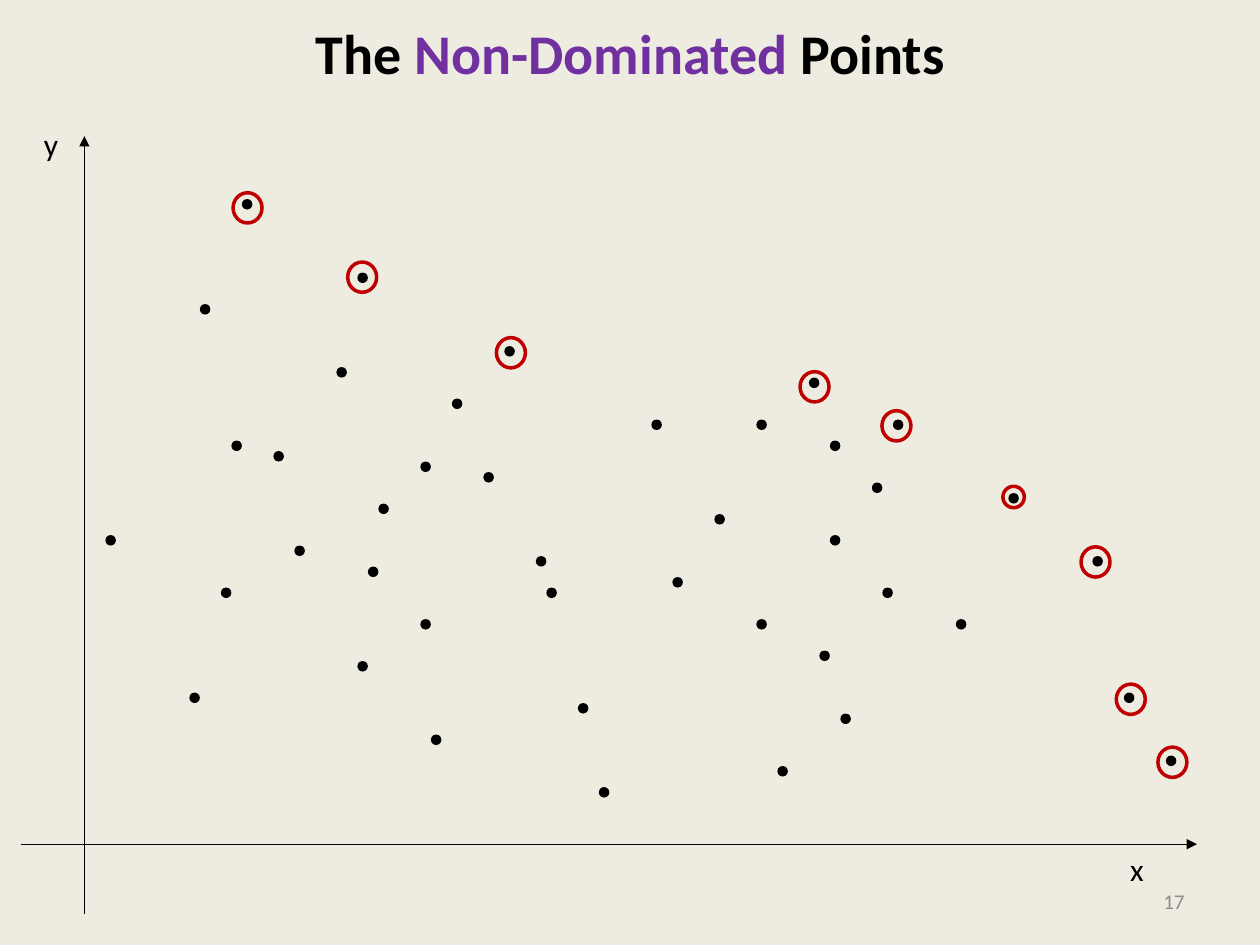
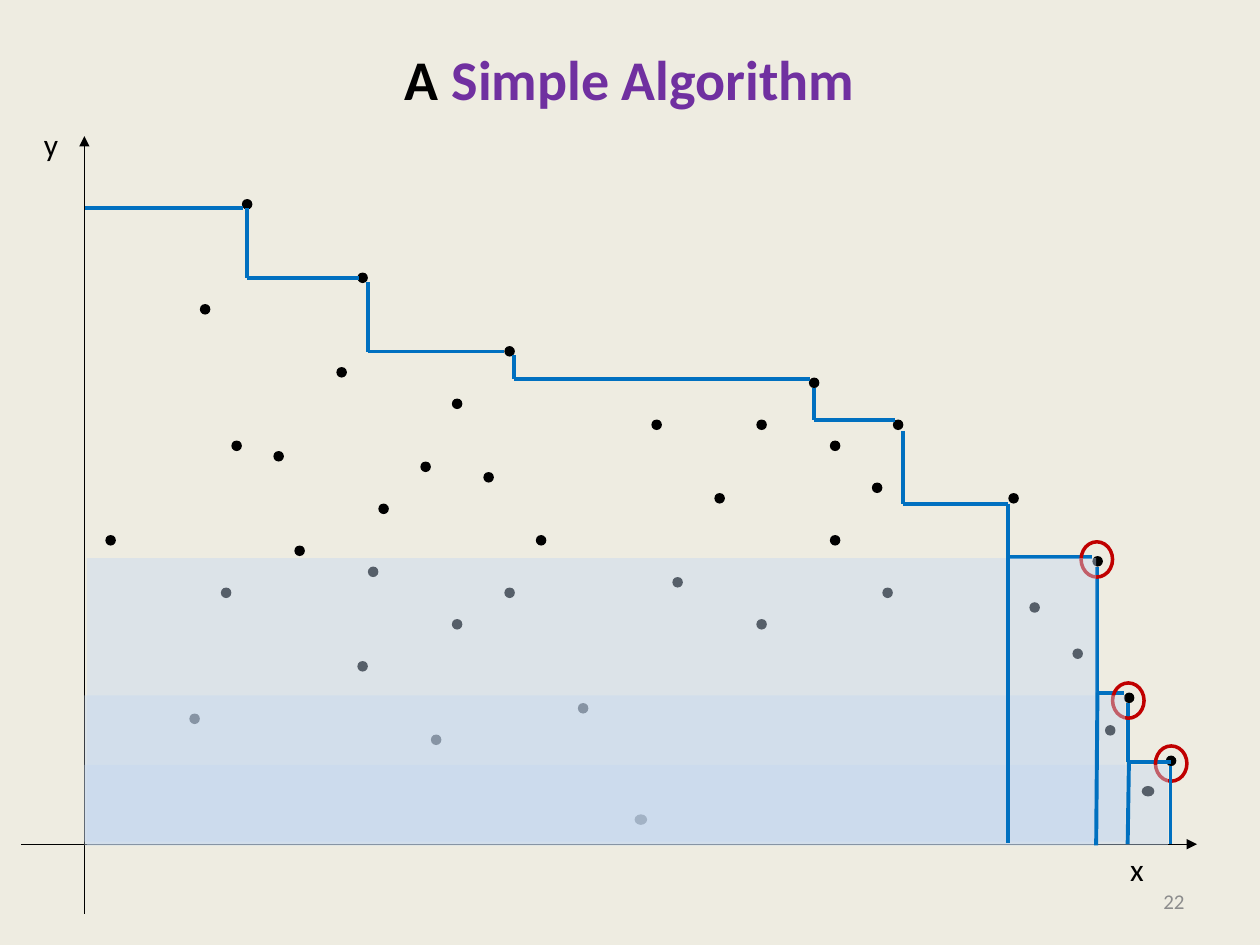
from lxml import etree
from pptx import Presentation
from pptx import util as u
from pptx.dml.color import RGBColor
from pptx.enum import shapes, text
from pptx.oxml.ns import qn

COLOURS = {
    "paper": "EEECE1", "ink": "000000", "accent": "7030A0", "number": "8C8C8C",
    "ring": "C00000", "stair": "0070C0", "veil": "C6D9F1",
}
FONT = "Calibri"
PLOT = (0.67, 1.08, 8.83, 5.62)
CELL = 1 / 12

SHARED_DOTS = [
    (35, 25), (75, 33), (71, 38), (15, 6), (28, 35), (77, 27), (24, 22), (18, 30),
    (20, 39), (14, 29), (11, 16), (71, 29), (64, 27), (26, 13), (38, 32), (103, 59),
    (96, 40), (88, 34), (99, 53), (2, 38), (32, 31), (54, 27), (69, 23), (40, 20),
    (13, 43), (26, 50), (64, 46), (76, 43), (27, 41), (56, 42), (33, 57), (47, 54),
]
POINTS_DOTS = [
    (43, 40), (32, 46), (72, 55), (83, 46), (70, 49),
    (10, 53), (66, 60), (44, 43), (49, 62), (60, 36),
]
ALGORITHM_DOTS = [
    (43, 38), (35, 46), (90, 44.4), (94.1, 48.8), (40, 43),
    (97.2, 56.1), (10, 55), (60, 34),
]
WIDE_DOTS = [(100.7, 61.9), (52.4, 64.6)]

POINTS_RINGS = [
    (1.18, 0.45), (2.09, 1), (3.27, 1.6), (5.68, 1.87),
    (6.33, 2.18), (7.91, 3.26), (8.19, 4.35), (8.52, 4.85),
]
SMALL_RING = [(7.29, 2.78)]
ALGORITHM_RINGS = [(7.91, 3.22), (8.16, 4.34), (8.5, 4.84)]

# Each step: left, right, height of the tread, top of the riser at its left end.
STEPS = [
    (0, 1.26, 0.57, None), (1.29, 2.18, 1.13, 0.57), (2.25, 3.33, 1.71, 1.16),
    (3.41, 5.76, 1.93, 1.74), (5.79, 6.43, 2.25, 2), (6.5, 7.33, 2.92, 2.34),
    (7.33, 8, 3.34, 2.92), (8.04, 8.25, 4.42, 3.42), (8.28, 8.62, 4.97, 4.5),
]
DROPS = [
    ((8.62, 5), (8.62, 5.62)), ((8.29, 4.96), (8.28, 5.62)),
    ((8.04, 4.42), (8.03, 5.63)), ((7.33, 3.33), (7.33, 5.61)),
]
VEILS = [(0, 4.99, 8.6, 0.64), (0, 4.44, 8.26, 1.16), (0.02, 3.35, 8.01, 2.28)]


def colour(name):
    """Return the named colour."""
    return RGBColor.from_string(COLOURS[name])


def add_span(para, words, size, tint="ink", bold=False):
    """Add one formatted run."""
    span = para.add_run()
    span.text = words
    span.font.name, span.font.size, span.font.bold = FONT, u.Pt(size), bold
    span.font.color.rgb = colour(tint)


def add_title(page, top, spans):
    """Move the title placeholder and fill it."""
    title = page.shapes.title
    title.left, title.top, title.width, title.height = map(u.Inches, (0.5, top, 9, 1.25))
    frame = title.text_frame
    frame.vertical_anchor = text.MSO_ANCHOR.TOP
    para = frame.paragraphs[0]
    para.alignment = text.PP_ALIGN.CENTER
    for words, tint in spans:
        add_span(para, words, 32, tint, True)


def add_page_number(page, number):
    """Write the page number at the lower right."""
    box = page.shapes.add_textbox(*map(u.Inches, (7.17, 6.95, 2.33, 0.4)))
    frame = box.text_frame
    frame.word_wrap = True
    frame.vertical_anchor = text.MSO_ANCHOR.MIDDLE
    frame.paragraphs[0].alignment = text.PP_ALIGN.RIGHT
    add_span(frame.paragraphs[0], number, 12, "number")


def add_line(page, box, start, end, tint, width, arrow=False):
    """Draw a straight line between two points of the box."""
    ends = [u.Inches(box[axis] + point[axis]) for point in (start, end) for axis in (0, 1)]
    line = page.shapes.add_connector(shapes.MSO_CONNECTOR.STRAIGHT, *ends)
    line.line.color.rgb = colour(tint)
    line.line.width = u.Pt(width)
    properties = line._element.spPr
    if arrow:
        etree.SubElement(properties.find(qn("a:ln")), qn("a:tailEnd"), type="triangle")
    etree.SubElement(properties, qn("a:effectLst"))


def add_figure(page, box, kind, place):
    """Add a shadowless shape placed relative to the box."""
    left, top, width, height = place
    figure = page.shapes.add_shape(
        kind, *map(u.Inches, (box[0] + left, box[1] + top, width, height)))
    figure.shadow.inherit = False
    return figure


def add_dots(page, box, cells, width=CELL):
    """Draw black dots on the fine grid of the box."""
    for column, row in cells:
        place = (column * CELL, row * CELL, width, CELL)
        dot = add_figure(page, box, shapes.MSO_SHAPE.OVAL, place)
        dot.fill.solid()
        dot.fill.fore_color.rgb = colour("ink")
        dot.line.fill.background()


def add_rings(page, box, corners, width, height):
    """Circle the non-dominated points."""
    for left, top in corners:
        ring = add_figure(page, box, shapes.MSO_SHAPE.OVAL, (left, top, width, height))
        ring.fill.background()
        ring.line.color.rgb = colour("ring")
        ring.line.width = u.Pt(2)


def add_axes(page, box):
    """Draw both axes with their letters."""
    left, top, width, height = box
    add_line(page, box, (0, height + 0.55), (0, 0), "ink", 0.75, True)
    add_line(page, box, (-0.5, height), (width, height), "ink", 0.75, True)
    for letter, across, down in (("y", -0.42, -0.14), ("x", 8.2, height)):
        label = page.shapes.add_textbox(
            *map(u.Inches, (left + across, top + down, 0.32, 0.4)))
        label.text_frame.word_wrap = False
        label.text_frame.auto_size = text.MSO_AUTO_SIZE.SHAPE_TO_FIT_TEXT
        add_span(label.text_frame.paragraphs[0], letter, 18)


def add_staircase(page, box):
    """Draw the treads and risers under the non-dominated points."""
    for left, right, tread, riser_top in STEPS:
        add_line(page, box, (left, tread), (right, tread), "stair", 2.25)
        if riser_top is not None:
            add_line(page, box, (left, riser_top), (left, tread), "stair", 2.25)


def add_veils(page, box):
    """Lay translucent bands over the dominated areas."""
    for place in VEILS:
        veil = add_figure(page, box, shapes.MSO_SHAPE.RECTANGLE, place)
        veil.fill.solid()
        veil.fill.fore_color.rgb = colour("veil")
        veil.line.fill.background()
        tint = veil._element.spPr.find(qn("a:solidFill"))[0]
        etree.SubElement(tint, qn("a:alpha"), val="44000")


def add_page(deck, title_top, spans, number):
    """Add a title-only page with its title, number and shared dots."""
    page = deck.slides.add_slide(deck.slide_layouts[5])
    add_title(page, title_top, spans)
    add_page_number(page, number)
    add_dots(page, PLOT, SHARED_DOTS)
    return page


def build_points(deck):
    """Build the page that circles every non-dominated point."""
    spans = [("The ", "ink"), ("Non-Dominated ", "accent"), ("Points", "ink")]
    page = add_page(deck, 0.1, spans, "17")
    add_dots(page, PLOT, POINTS_DOTS)
    add_axes(page, PLOT)
    add_rings(page, PLOT, POINTS_RINGS, 0.23, 0.24)
    add_rings(page, PLOT, SMALL_RING, 0.17, 0.17)


def build_algorithm(deck):
    """Build the page that sweeps the staircase from the right."""
    page = add_page(deck, 0.3, [("A ", "ink"), ("Simple Algorithm", "accent")], "22")
    add_dots(page, PLOT, ALGORITHM_DOTS)
    add_dots(page, PLOT, WIDE_DOTS, 0.1)
    add_staircase(page, PLOT)
    add_rings(page, PLOT, ALGORITHM_RINGS, 0.25, 0.28)
    add_axes(page, PLOT)
    add_veils(page, PLOT)
    for start, end in DROPS:
        add_line(page, PLOT, start, end, "stair", 2.25)


def main():
    """Build and save the deck."""
    deck = Presentation()
    deck.slide_width, deck.slide_height = u.Inches(10), u.Inches(7.5)
    backdrop = deck.slide_master.background.fill
    backdrop.solid()
    backdrop.fore_color.rgb = colour("paper")
    build_points(deck)
    build_algorithm(deck)
    deck.save("out.pptx")


if __name__ == "__main__":
    main()
